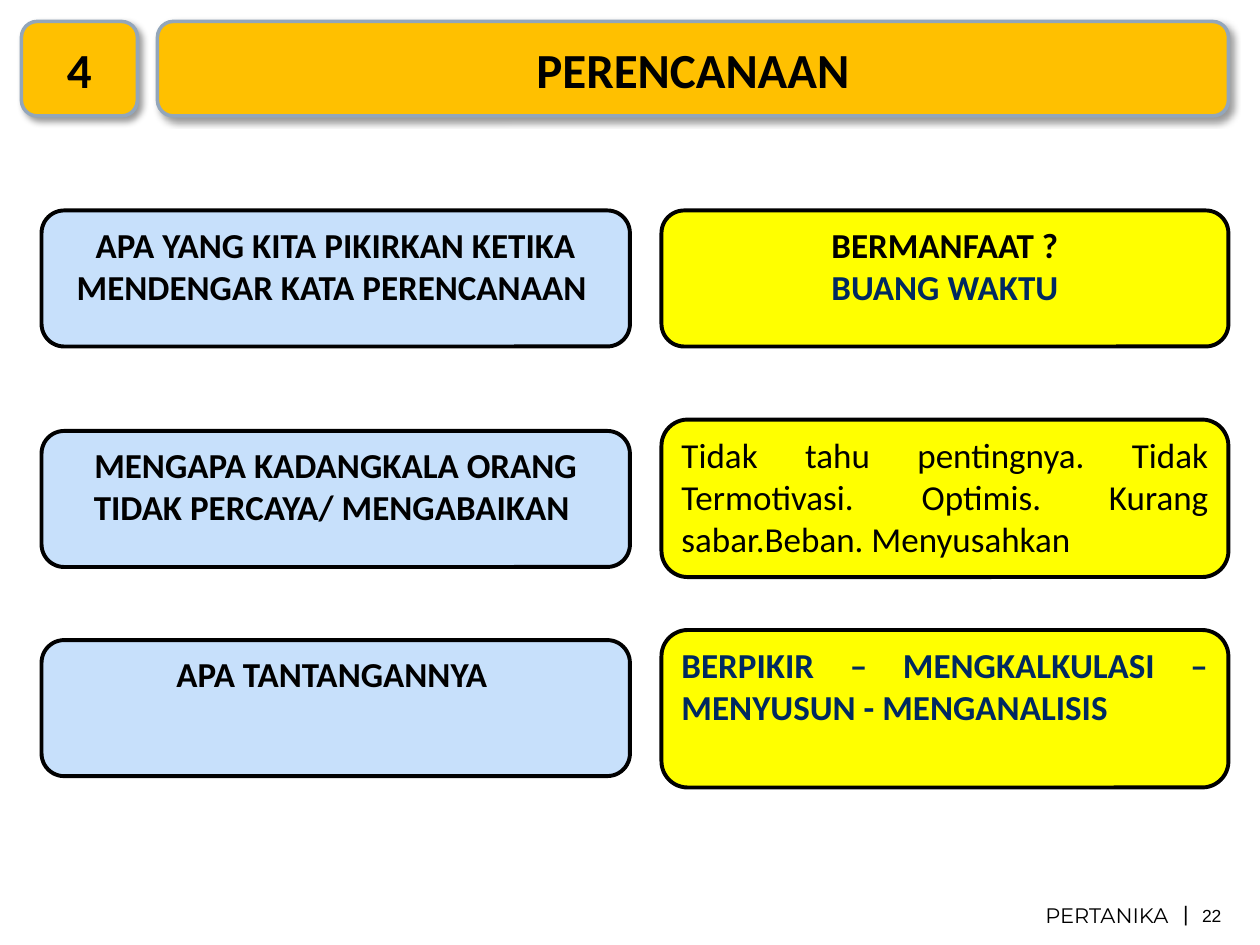
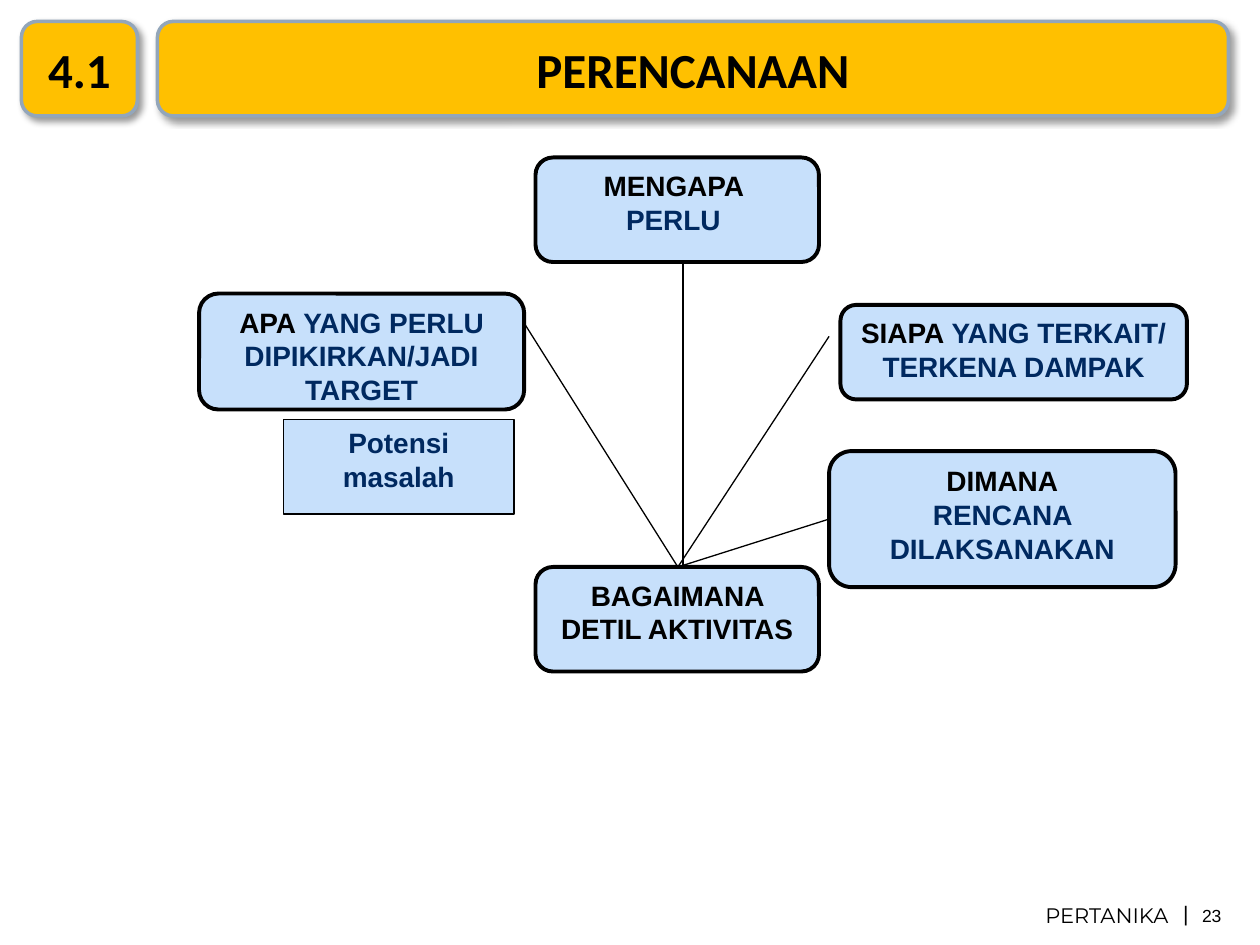
from dataclasses import dataclass

from lxml.etree import SubElement
from pptx import Presentation
from pptx.dml.color import RGBColor
from pptx.enum.shapes import MSO_CONNECTOR as Connector, MSO_SHAPE as Shape
from pptx.enum.text import MSO_ANCHOR as Anchor, PP_ALIGN as Align
from pptx.oxml.ns import qn
from pptx.util import Inches, Pt

BLACK = RGBColor(0x00, 0x00, 0x00)
NAVY = RGBColor(0x00, 0x29, 0x60)
AMBER = RGBColor(0xFF, 0xC0, 0x00)
STEEL = RGBColor(0x93, 0xA6, 0xBA)
SKY = RGBColor(0xC7, 0xE0, 0xFB)
YELLOW = RGBColor(0xFF, 0xFF, 0x00)

COMPANY = "PERTANIKA"
TITLE = "PERENCANAAN"


@dataclass(frozen=True)
class Area:
    left: float
    top: float
    width: float
    height: float

    def inches(self) -> tuple:
        return tuple(Inches(v) for v in (self.left, self.top, self.width, self.height))


@dataclass(frozen=True)
class Words:
    text: str
    color: RGBColor = BLACK


@dataclass(frozen=True)
class Style:
    font: str
    size: int
    bold: bool = True
    align: Align = Align.CENTER


@dataclass(frozen=True)
class Box:
    area: Area
    lines: list[list[Words]]
    style: Style
    fill: RGBColor = SKY
    line_color: RGBColor = BLACK
    line_width: float = 2.25
    outline: Shape = Shape.ROUNDED_RECTANGLE
    anchor: Anchor = Anchor.TOP


HEADING = Style("Calibri", 28)
QUESTION = Style("Calibri", 20)
REASON = Style("Calibri", 20, bold=False, align=Align.JUSTIFY)
CHALLENGE = Style("Calibri", 20, align=Align.JUSTIFY)
TOPIC = Style("Arial", 16)

QUESTIONS = [
    Box(Area(0.33, 1.67, 4.67, 1.08),
        [[Words("APA YANG KITA PIKIRKAN KETIKA")], [Words("MENDENGAR KATA PERENCANAAN ")]], QUESTION),
    Box(Area(0.33, 3.42, 4.67, 1.08),
        [[Words("MENGAPA KADANGKALA ORANG TIDAK PERCAYA/ MENGABAIKAN ")]], QUESTION),
    Box(Area(0.33, 5.08, 4.67, 1.08), [[Words("APA TANTANGANNYA ")]], QUESTION),
]
ANSWERS = [
    Box(Area(5.25, 1.67, 4.5, 1.08),
        [[Words("BERMANFAAT ?")], [Words("BUANG WAKTU", NAVY)]], QUESTION, YELLOW),
    Box(Area(5.25, 3.33, 4.5, 1.25),
        [[Words("Tidak tahu pentingnya. Tidak Termotivasi. Optimis. Kurang sabar.Beban. Menyusahkan ")]],
        REASON, YELLOW),
    Box(Area(5.25, 5, 4.5, 1.25),
        [[Words("BERPIKIR – MENGKALKULASI – MENYUSUN - MENGANALISIS", NAVY)]], CHALLENGE, YELLOW),
]
TOPICS = [
    Box(Area(4.25, 1.25, 2.25, 0.83), [[Words("MENGAPA ")], [Words("PERLU ", NAVY)]], TOPIC),
    Box(Area(1.58, 2.33, 2.58, 0.92),
        [[Words("APA"), Words(" YANG PERLU DIPIKIRKAN/JADI TARGET", NAVY)]], TOPIC),
    Box(Area(6.67, 2.42, 2.75, 0.75),
        [[Words("SIAPA"), Words(" YANG TERKAIT/ TERKENA DAMPAK", NAVY)]], TOPIC),
    Box(Area(2.25, 3.33, 1.83, 0.75), [[Words("Potensi masalah", NAVY)]], TOPIC,
        line_width=0.75, outline=Shape.RECTANGLE),
    Box(Area(6.58, 3.58, 2.75, 1.08),
        [[Words("DIMANA")], [Words("RENCANA DILAKSANAKAN", NAVY)]], TOPIC),
    Box(Area(4.25, 4.5, 2.25, 0.83), [[Words("BAGAIMANA DETIL AKTIVITAS")]], TOPIC),
]
ACTIVITY_TOP = 4.5
LINKS = [(5.38, 4.17, 2.58), (5.38, 6.58, 2.67), (5.38, 6.58, 4.12), (5.42, 5.42, 2.08)]


def write(frame, lines: list[list[Words]], style: Style) -> None:
    for index, line in enumerate(lines):
        paragraph = frame.paragraphs[0] if index == 0 else frame.add_paragraph()
        paragraph.alignment = style.align
        for words in line:
            run = paragraph.add_run()
            run.text = words.text
            run.font.name = style.font
            run.font.size = Pt(style.size)
            run.font.bold = style.bold
            run.font.color.rgb = words.color


def draw_box(slide, box: Box):
    shape = slide.shapes.add_shape(box.outline, *box.area.inches())
    shape.fill.solid()
    shape.fill.fore_color.rgb = box.fill
    shape.line.color.rgb = box.line_color
    shape.line.width = Pt(box.line_width)
    shape.shadow.inherit = False
    shape.text_frame.word_wrap = True
    shape.text_frame.vertical_anchor = box.anchor
    write(shape.text_frame, box.lines, box.style)
    return shape


def draw_band(slide, area: Area, text: str) -> None:
    band = draw_box(slide, Box(area, [[Words(text)]], HEADING, AMBER, STEEL, 2, anchor=Anchor.MIDDLE))
    effects = band._element.spPr.find(qn("a:effectLst"))
    shadow = SubElement(effects, qn("a:outerShdw"), blurRad=str(Pt(4)), dist=str(Pt(3)),
                        dir="2700000", algn="tl", rotWithShape="0")
    tint = SubElement(shadow, qn("a:srgbClr"), val=str(BLACK))
    SubElement(tint, qn("a:alpha"), val="40000")


def draw_label(slide, area: Area, text: str, style: Style,
               anchor: Anchor = Anchor.TOP, padded: bool = False) -> None:
    frame = slide.shapes.add_textbox(*area.inches()).text_frame
    frame.word_wrap = padded
    frame.vertical_anchor = anchor
    if not padded:
        frame.margin_left = frame.margin_right = frame.margin_top = frame.margin_bottom = 0
    write(frame, [[Words(text)]], style)


def draw_link(slide, start_x: float, end_x: float, end_y: float) -> None:
    link = slide.shapes.add_connector(
        Connector.STRAIGHT, Inches(start_x), Inches(ACTIVITY_TOP), Inches(end_x), Inches(end_y))
    link.line.color.rgb = BLACK
    link.line.width = Pt(0.75)
    SubElement(link._element.spPr, qn("a:effectLst"))


def add_page(deck, section: str, page: int, boxes: list[Box]):
    slide = deck.slides.add_slide(deck.slide_layouts[6])
    draw_label(slide, Area(8.11, 7.11, 1.35, 0.31), COMPANY,
               Style("Montserrat", 12, bold=False), padded=True)
    draw_label(slide, Area(9.39, 7.14, 0.04, 0.21), "|",
               Style("Arial", 12, bold=False, align=Align.RIGHT), Anchor.MIDDLE)
    draw_label(slide, Area(9.54, 7.18, 0.22, 0.17), str(page),
               Style("Arial", 10, bold=False, align=Align.LEFT))
    draw_band(slide, Area(1.25, 0.17, 8.5, 0.75), TITLE)
    draw_band(slide, Area(0.17, 0.17, 0.92, 0.75), section)
    for box in boxes:
        draw_box(slide, box)
    return slide


def main() -> None:
    deck = Presentation()
    deck.slide_width, deck.slide_height = Inches(10), Inches(7.5)
    rows = zip(QUESTIONS, ANSWERS)
    add_page(deck, "4", 22, [box for row in rows for box in row])
    mapping = add_page(deck, "4.1", 23, TOPICS)
    for link in LINKS:
        draw_link(mapping, *link)
    deck.save("out.pptx")


if __name__ == "__main__":
    main()
